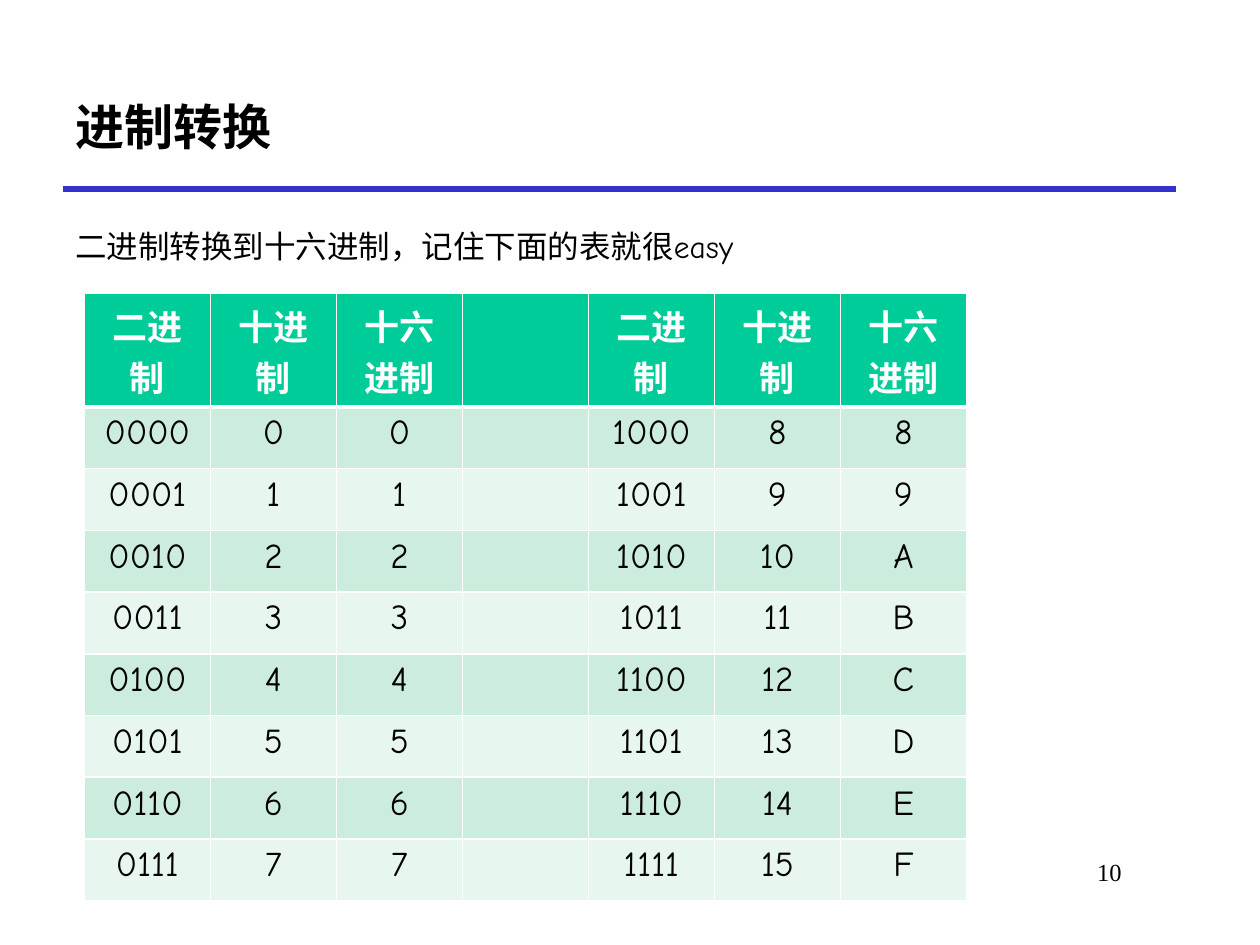
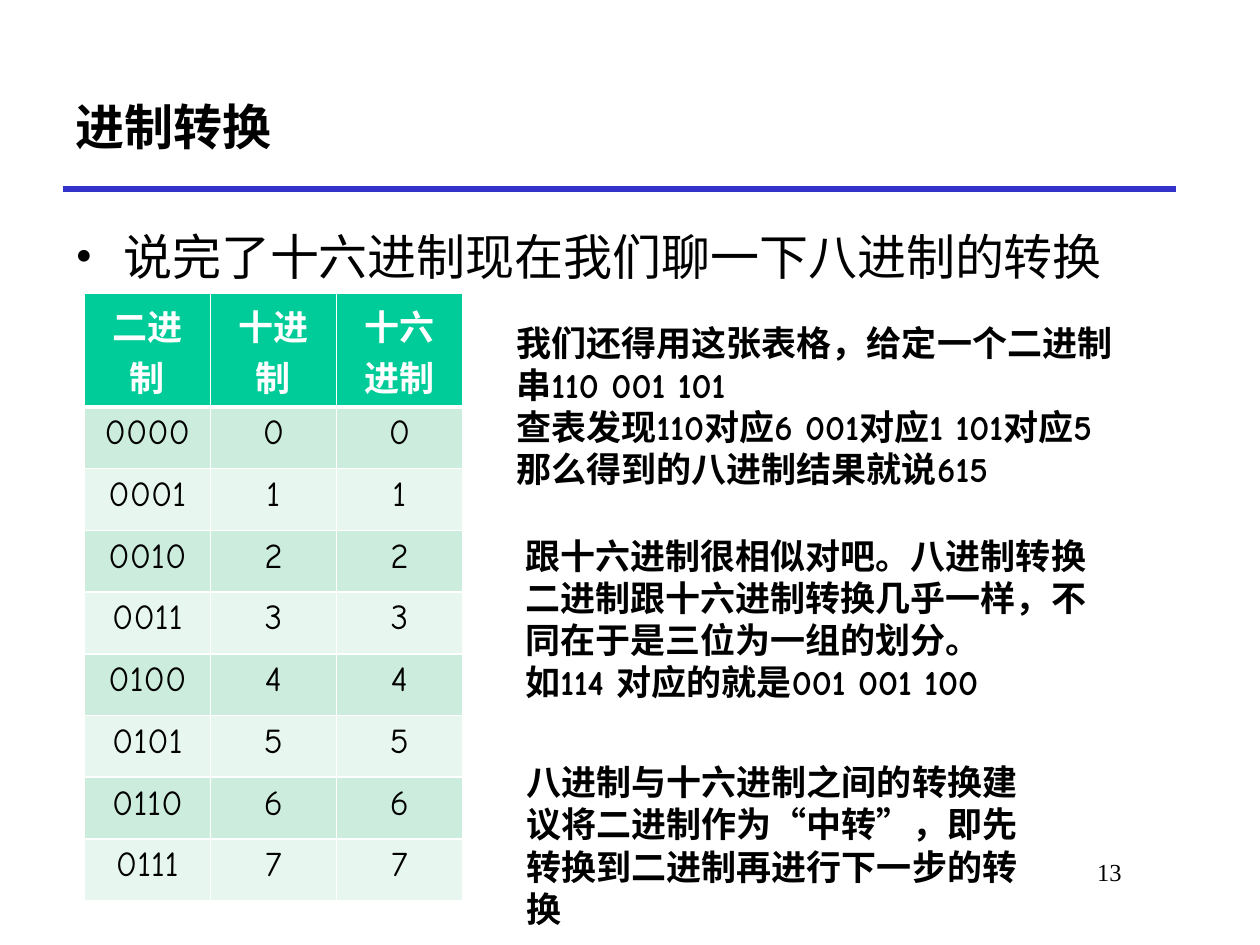
from lxml.etree import SubElement
from pptx import Presentation
from pptx.dml.color import RGBColor
from pptx.enum.lang import MSO_LANGUAGE_ID
from pptx.enum.shapes import MSO_CONNECTOR
from pptx.enum.text import MSO_ANCHOR, PP_ALIGN
from pptx.oxml.ns import qn
from pptx.util import Inches, Pt

COLORS = {"text": "000000", "rule": "3333CC", "header": "00CC99",
          "band": "CCECDE", "light": "E7F6EF", "white": "FFFFFF"}
FONT = "Comic Neue"
NUMBER_FONT = "Times New Roman"
HEADINGS = ["二进制", "十进制", "十六进制"]
HEADER_HEIGHT, ROW_HEIGHT = 0.9, 0.49


def rgb(name):
    """Return the named colour."""
    return RGBColor.from_string(COLORS[name])


def add_run(p, text, size, bold=False, color="text", font=FONT, east_asian=True):
    """Add one styled run to a paragraph."""
    r = p.add_run()
    r.text = text
    r.font.size = Pt(size)
    r.font.bold = bold
    r.font.name = font
    r.font.language_id = MSO_LANGUAGE_ID.SIMPLIFIED_CHINESE
    r.font.color.rgb = rgb(color)
    if east_asian:
        SubElement(r._r.get_or_add_rPr(), qn("a:ea"), typeface=font)


def add_text(s, box, lines, size, anchor=MSO_ANCHOR.TOP, align=PP_ALIGN.LEFT,
             bullet=False, spacing=None, **style):
    """Add a wrapped text box with one paragraph per line."""
    tf = s.shapes.add_textbox(*[Inches(v) for v in box]).text_frame
    tf.word_wrap = True
    tf.vertical_anchor = anchor
    for i, line in enumerate(lines):
        p = tf.paragraphs[0] if i == 0 else tf.add_paragraph()
        p.alignment = align
        p.line_spacing = spacing
        if bullet:
            pPr = p._p.get_or_add_pPr()
            pPr.set("marL", str(Inches(0.38)))
            pPr.set("indent", str(-Inches(0.38)))
            SubElement(pPr, qn("a:buFont"), typeface=NUMBER_FONT)
            SubElement(pPr, qn("a:buChar"), char="•")
        add_run(p, line, size, **style)


def add_rule(s):
    """Draw the line under the title."""
    c = s.shapes.add_connector(MSO_CONNECTOR.STRAIGHT, Inches(0.5), Inches(1.5),
                               Inches(9.33), Inches(1.5))
    c.line.color.rgb = rgb("rule")
    c.line.width = Pt(3)
    SubElement(c._element.spPr, qn("a:effectLst"))


def add_base_slide(prs, title, number):
    """Add a slide with the shared title, rule and page number."""
    s = prs.slides.add_slide(prs.slide_layouts[6])
    add_rule(s)
    add_text(s, (0.5, 0.5, 8.83, 1), [title], 28, MSO_ANCHOR.MIDDLE, bold=True)
    add_text(s, (7.58, 6.75, 1.42, 0.5), [str(number)], 14,
             align=PP_ALIGN.RIGHT, font=NUMBER_FONT)
    return s


def set_borders(cell, top, bottom):
    """Give a cell white borders."""
    tcPr = cell._tc.get_or_add_tcPr()
    for side, width in (("L", 1), ("R", 1), ("T", top), ("B", bottom)):
        ln = SubElement(tcPr, qn(f"a:ln{side}"), w=str(Pt(width)))
        fill = SubElement(ln, qn("a:solidFill"))
        SubElement(fill, qn("a:srgbClr"), val=COLORS["white"])


def number_rows(start):
    """Return heading and eight rows of binary, decimal and hexadecimal."""
    return [HEADINGS] + [[f"{n:04b}", str(n), f"{n:X}"]
                         for n in range(start, start + 8)]


def add_number_table(s, rows):
    """Add a banded conversion table."""
    cols = len(rows[0])
    height = HEADER_HEIGHT + ROW_HEIGHT * (len(rows) - 1)
    table = s.shapes.add_table(len(rows), cols, Inches(0.67), Inches(2.33),
                               Inches(cols), Inches(height)).table
    for i, row in enumerate(rows):
        head = i == 0
        table.rows[i].height = Inches(HEADER_HEIGHT if head else ROW_HEIGHT)
        fill = "header" if head else "band" if i % 2 else "light"
        for j, text in enumerate(row):
            cell = table.cell(i, j)
            set_borders(cell, 3 if i == 1 else 1, 3 if head else 1)
            cell.fill.solid()
            cell.fill.fore_color.rgb = rgb(fill)
            if text:
                p = cell.text_frame.paragraphs[0]
                p.alignment = PP_ALIGN.CENTER
                add_run(p, text, 20, head, "white" if head else "text",
                        east_asian=False)


def main():
    """Build the two slides."""
    prs = Presentation()
    prs.slide_width, prs.slide_height = Inches(10), Inches(7.5)
    body = (0.5, 1.75, 9.08, 4.83)
    low, high = number_rows(0), number_rows(8)

    s = add_base_slide(prs, "进制转换", 10)
    add_text(s, body, ["二进制转换到十六进制，记住下面的表就很easy"], 18)
    add_number_table(s, [a + [""] + b for a, b in zip(low, high)])

    s = add_base_slide(prs, "进制转换", 13)
    add_text(s, body, ["说完了十六进制现在我们聊一下八进制的转换"], 28, bullet=True)
    add_number_table(s, low)
    add_text(s, (4, 2.5, 5.04, 1.45),
             ["我们还得用这张表格，给定一个二进制串110 001 101",
              "查表发现110对应6 001对应1 101对应5 那么得到的八进制结果就说615"],
             20, bold=True)
    add_text(s, (4.07, 4.19, 4.76, 1.45),
             ["跟十六进制很相似对吧。八进制转换二进制跟十六进制转换几乎一样，"
              "不同在于是三位为一组的划分。",
              "如114 对应的就是001 001 100"],
             20, bold=True)
    add_text(s, (4.08, 5.99, 4.17, 1.11),
             ["八进制与十六进制之间的转换建议将二进制作为“中转”，"
              "即先转换到二进制再进行下一步的转换"],
             20, spacing=Pt(24), bold=True, east_asian=False)
    prs.save("out.pptx")


if __name__ == "__main__":
    main()
